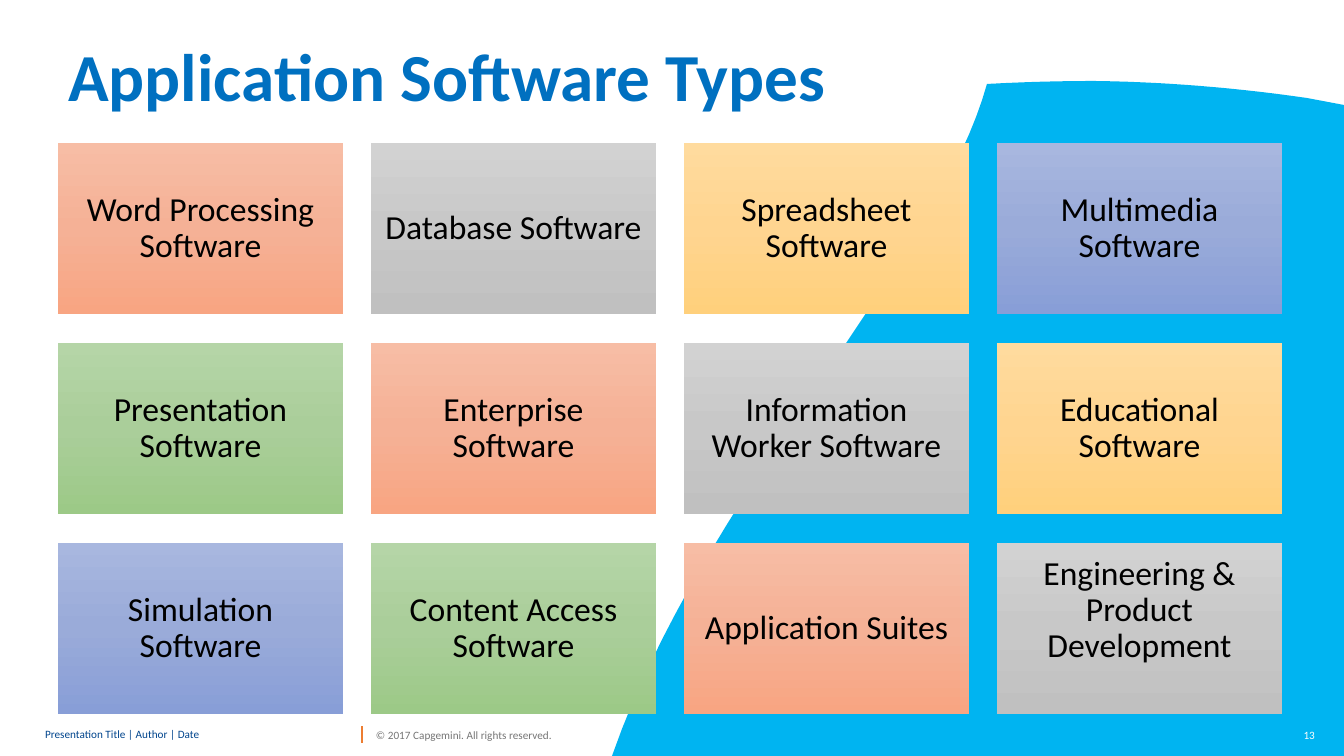
from copy import deepcopy

from pptx import Presentation, util as u
from pptx.dml.color import RGBColor
from pptx.enum import shapes, text
from pptx.oxml.ns import qn
from lxml import etree

SCALE = 914400 / 100.8  # EMU in one px
FONT = "Calibri"
COLOURS = {
    "title": "0070C0",
    "swoosh": "00B4F1",
    "divider": "ED7D31",
    "footer": "00458D",
    "copyright": "767676",
    "white": "FFFFFF",
    "black": "000000",
}
# Top, middle and bottom of each card gradient, used in turn
CARD_COLOURS = {
    "orange": ("F7BDA5", "F5B196", "F8A582"),
    "grey": ("D2D2D2", "C8C8C8", "C0C0C0"),
    "yellow": ("FFDB9E", "FFD590", "FFD07C"),
    "blue": ("A8B7DF", "9AABD9", "889ED7"),
    "green": ("B5D5A7", "AACE9A", "9CC987"),
}
SOFTWARE_TYPES = [
    "Word Processing Software", "Database Software",
    "Spreadsheet Software", "Multimedia Software",
    "Presentation Software", "Enterprise Software",
    "Information Worker Software", "Educational Software",
    "Simulation Software", "Content Access Software",
    "Application Suites", "Engineering & Product Development",
]
COLUMNS = 4
CARD_LEFT, CARD_TOP = 58, 143
CARD_WIDTH, CARD_HEIGHT = 285, 171
COLUMN_STEP, ROW_STEP = 313, 200


def px(length):
    return u.Emu(round(length * SCALE))


def colour(name):
    return RGBColor.from_string(COLOURS[name])


def write(shape, words, size, ink="black", bold=False, align="LEFT",
          anchor="MIDDLE", spacing=1.0, inset=0, bottom=None, wrap=True):
    frame = shape.text_frame
    frame.word_wrap = wrap
    frame.vertical_anchor = text.MSO_ANCHOR[anchor]
    frame.margin_left = frame.margin_right = frame.margin_top = px(inset)
    frame.margin_bottom = px(inset if bottom is None else bottom)
    para = frame.paragraphs[0]
    para.alignment = text.PP_ALIGN[align]
    para.line_spacing = spacing
    span = para.add_run()
    span.text = words
    span.font.name = FONT
    span.font.size = u.Pt(size)
    span.font.bold = bold
    span.font.color.rgb = colour(ink)


def add_label(page, words, left, top, width, height, **style):
    box = page.shapes.add_textbox(px(left), px(top), px(width), px(height))
    write(box, words, **style)


def fill_gradient(shape, stops):
    shape.fill.gradient()
    shape.fill.gradient_angle = 270
    stop_list = shape._element.spPr.find(qn("a:gradFill")).find(qn("a:gsLst"))
    middle = deepcopy(stop_list[0])
    middle.set("pos", "50000")
    stop_list.insert(1, middle)
    for stop, value in zip(shape.fill.gradient_stops, stops):
        stop.color.rgb = RGBColor.from_string(value)


def add_card(page, index, words, stops):
    row, column = divmod(index, COLUMNS)
    card = page.shapes.add_shape(
        shapes.MSO_SHAPE.RECTANGLE,
        px(CARD_LEFT + column * COLUMN_STEP), px(CARD_TOP + row * ROW_STEP),
        px(CARD_WIDTH), px(CARD_HEIGHT))
    card.shadow.inherit = False
    card.line.fill.background()
    fill_gradient(card, stops)
    # The last label sits one line higher than the middle of its card
    bottom = 46 if index == len(SOFTWARE_TYPES) - 1 else 10
    write(card, words, size=24, align="CENTER", spacing=0.9,
          inset=10, bottom=bottom)


def curve(start, first, second, end, steps=32):
    """Points of a cubic curve after its start."""
    points = []
    for step in range(1, steps + 1):
        t = step / steps
        weights = ((1 - t) ** 3, 3 * t * (1 - t) ** 2, 3 * t * t * (1 - t), t ** 3)
        points.append(tuple(
            px(sum(w * p for w, p in zip(weights, axis)))
            for axis in zip(start, first, second, end)))
    return points


def add_swoosh(page):
    crest, shoulder, tip, foot = (1096, 81), (1307, 98), (987, 84), (622, 729)
    corners = [(1344, 105), (1344, 756), (612, 756), foot]
    outline = curve(crest, (1167, 82), (1238, 88), shoulder)
    outline += [(px(x), px(y)) for x, y in corners]
    outline += curve(foot, (718, 481), (940, 255), tip)
    outline += curve(tip, (1023, 82), (1059, 81), crest)
    builder = page.shapes.build_freeform(px(crest[0]), px(crest[1]))
    builder.add_line_segments(outline, close=True)
    swoosh = builder.convert_to_shape()
    swoosh.shadow.inherit = False
    swoosh.fill.solid()
    swoosh.fill.fore_color.rgb = colour("swoosh")
    swoosh.line.fill.background()


def add_divider(page, x, top, bottom):
    line = page.shapes.add_connector(
        shapes.MSO_CONNECTOR.STRAIGHT, px(x), px(bottom), px(x), px(top))
    line.line.color.rgb = colour("divider")
    line.line.width = u.Pt(1)
    etree.SubElement(line._element.spPr, qn("a:effectLst"))


def main():
    deck = Presentation()
    deck.slide_width, deck.slide_height = px(1344), px(756)
    page = deck.slides.add_slide(deck.slide_layouts[6])

    # Background and footer
    add_swoosh(page)
    add_label(page, "13", 1286, 723, 29, 24, size=8, ink="white",
              align="RIGHT", wrap=False)
    add_divider(page, 362, 726, 743)
    add_label(page, "Presentation Title | Author | Date", 45, 723, 311, 24,
              size=8, ink="footer", spacing=0.85)
    add_label(page, "© 2017 Capgemini. All rights reserved.", 376, 723, 245, 24,
              size=8, ink="copyright", wrap=False)

    # Grid of software types
    palette = list(CARD_COLOURS.values())
    for index, words in enumerate(SOFTWARE_TYPES):
        add_card(page, index, words, palette[index % len(palette)])

    # Title
    add_label(page, "Application Software Types", 46, 43, 780, 67, size=48,
              ink="title", bold=True, align="RIGHT", anchor="TOP", spacing=0.9)

    deck.save("out.pptx")


if __name__ == "__main__":
    main()
